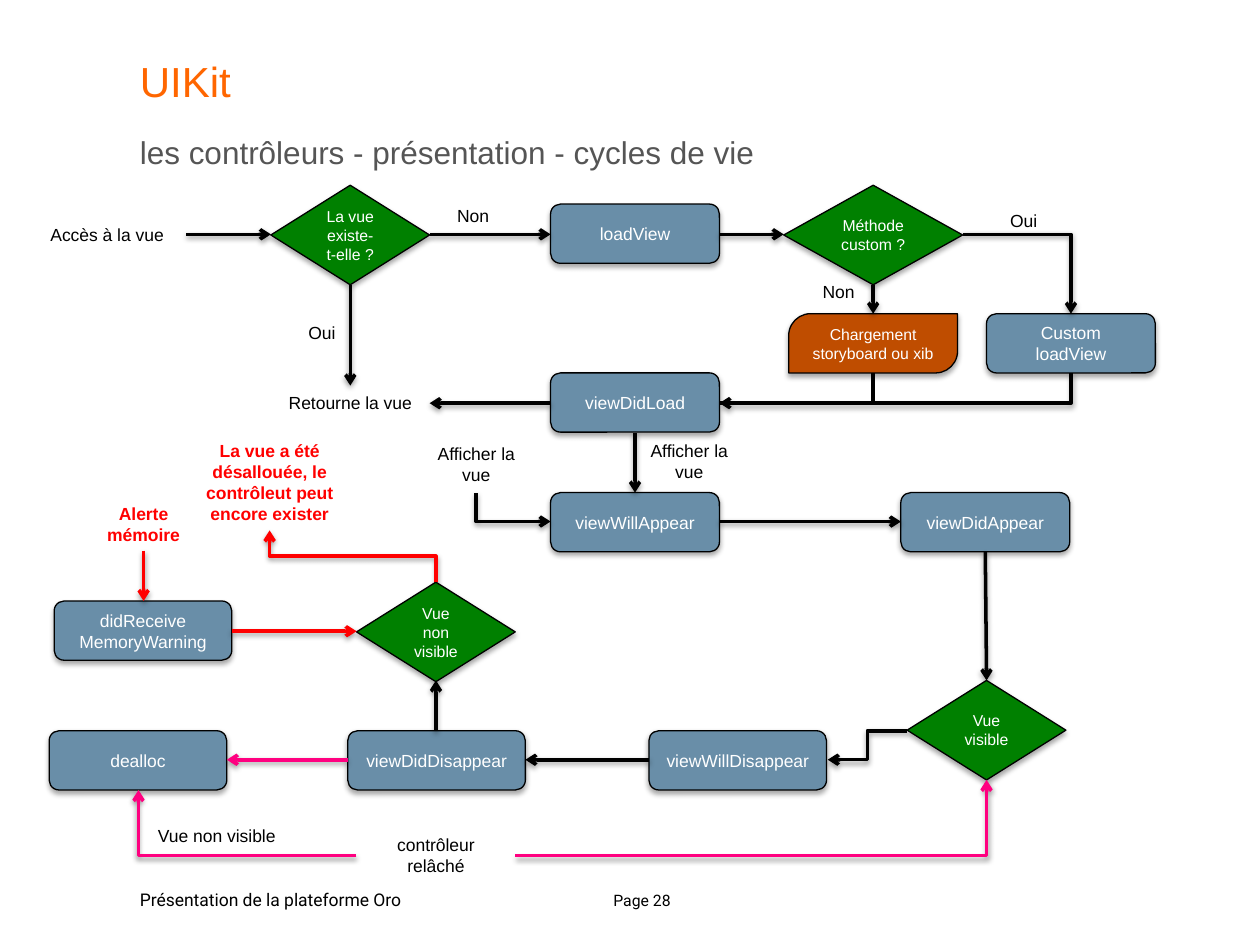
from dataclasses import dataclass

from lxml.etree import SubElement
from pptx import Presentation
from pptx.dml.color import RGBColor
from pptx.enum.shapes import MSO_CONNECTOR as Link, MSO_SHAPE as Shape
from pptx.enum.text import MSO_ANCHOR as Anchor, PP_ALIGN as Align
from pptx.oxml.ns import qn
from pptx.util import Inches, Pt

BLACK = RGBColor(0x00, 0x00, 0x00)
WHITE = RGBColor(0xFF, 0xFF, 0xFF)
GREY = RGBColor(0x55, 0x55, 0x55)
ORANGE = RGBColor(0xFF, 0x66, 0x00)
BLUE = RGBColor(0x69, 0x8E, 0xA8)
GREEN = RGBColor(0x00, 0x80, 0x00)
RUST = RGBColor(0xBF, 0x4D, 0x00)
RED = RGBColor(0xFF, 0x00, 0x00)
PINK = RGBColor(0xFF, 0x00, 0x80)

STEP_WIDTH, WIDE_STEP, STEP_HEIGHT = 1.34, 1.41, 0.47
TEST_WIDTH, TEST_HEIGHT = 1.26, 0.79


@dataclass
class Box:
    """Origin of a region of the page, in inches."""

    left: float
    top: float

    def at(self, x, y):
        """Return the page position of a point of the region."""
        return Inches(self.left + x), Inches(self.top + y)


def write(frame, text, size, color, font="Arial", align=Align.CENTER, bold=False):
    """Fill a text frame, one paragraph a line, in a single style."""
    frame.text = text
    for para in frame.paragraphs:
        para.alignment = align
        para.font.name = font
        para.font.size = Pt(size)
        para.font.bold = bold
        para.font.color.rgb = color


def clear_margins(frame):
    """Remove the inner margins of a text frame."""
    frame.margin_left = frame.margin_right = 0
    frame.margin_top = frame.margin_bottom = 0


def add_shadow(effects, opacity, distance):
    """Add a soft shadow below to an effect list."""
    shadow = SubElement(effects, qn("a:outerShdw"), blurRad=str(Pt(3.1)),
                        dist=str(Pt(distance)), dir="5400000", rotWithShape="0")
    color = SubElement(shadow, qn("a:srgbClr"), val=str(BLACK))
    SubElement(color, qn("a:alpha"), val=str(opacity * 1000))


def add_node(page, box, text, x, y, width=STEP_WIDTH, height=STEP_HEIGHT,
             kind=Shape.ROUNDED_RECTANGLE, fill=BLUE, size=10):
    """Add a filled node of the flow chart."""
    node = page.shapes.add_shape(kind, *box.at(x, y), Inches(width), Inches(height))
    node.fill.solid()
    node.fill.fore_color.rgb = fill
    node.line.color.rgb = BLACK
    node.line.width = Pt(0.75)
    node.shadow.inherit = False
    add_shadow(node._element.spPr.find(qn("a:effectLst")), 35, 1.8)
    node.text_frame.word_wrap = True
    node.text_frame.vertical_anchor = Anchor.MIDDLE
    write(node.text_frame, text, size, WHITE)
    return node


def add_test(page, box, text, x, y, width=TEST_WIDTH):
    """Add a decision diamond."""
    add_node(page, box, text, x, y, width, TEST_HEIGHT, Shape.DIAMOND, GREEN, 9)


def add_label(page, box, text, x, y, width=1.26, height=0.27, size=10,
              color=BLACK, **style):
    """Add a wrapped text box and return its frame."""
    label = page.shapes.add_textbox(*box.at(x, y), Inches(width), Inches(height))
    label.text_frame.word_wrap = True
    write(label.text_frame, text, size, color, **style)
    return label.text_frame


def add_link(page, box, start, end, color=BLACK, kind=Link.STRAIGHT, arrow="tailEnd"):
    """Add a line with its arrow and shadow, or a plain one without arrow."""
    link = page.shapes.add_connector(kind, *box.at(*start), *box.at(*end))
    link.line.color.rgb = color
    link.line.width = Pt(2)
    properties = link._element.spPr
    if arrow:
        SubElement(properties.find(qn("a:ln")), qn(f"a:{arrow}"), type="arrow")
    effects = SubElement(properties, qn("a:effectLst"))
    if arrow:
        add_shadow(effects, 38, 1.6)
    return link


def add_corner(page, box, start, end, color=BLACK, arrow="tailEnd"):
    """Add a link with one bend, leaving its start sideways."""
    link = add_link(page, box, start, end, color, Link.ELBOW, arrow)
    link._element.spPr.find(qn("a:prstGeom")).set("prst", "bentConnector2")


def add_upright_step(page, box, start, end, color):
    """Add a link with two bends, leaving its start upright."""
    middle_x, middle_y = (start[0] + end[0]) / 2, (start[1] + end[1]) / 2
    across, down = start[0] - middle_x, start[1] - middle_y
    link = add_link(page, box, (middle_x - down, middle_y + across),
                    (middle_x + down, middle_y - across), color, Link.ELBOW)
    link._element.spPr.find(qn("a:xfrm")).set("rot", str(270 * 60000))


def add_header(page, box):
    """Place the title and the subtitle."""
    title = page.shapes.title
    title.left, title.top = box.at(0, 0)
    title.width, title.height = Inches(8.54), Inches(0.54)
    clear_margins(title.text_frame)
    title.text_frame.vertical_anchor = Anchor.TOP
    write(title.text_frame, "UIKit", 24, ORANGE, align=Align.LEFT)
    clear_margins(add_label(page, box, "les contrôleurs - présentation - cycles de vie",
                            0, 0.62, 8.54, 0.33, 18, GREY, align=Align.LEFT))


def add_loading(page, box):
    """Draw the loading of the view."""
    middle, join = 0.39, 1.73
    add_test(page, box, "La vue existe-t-elle ?", 2.15, 0)
    add_test(page, box, "Méthode custom ?", 6.22, 0, 1.42)
    add_node(page, box, "loadView", 4.37, 0.15)
    add_node(page, box, "viewDidLoad", 4.37, 1.49)
    add_node(page, box, "Custom\nloadView", 7.83, 1.02)
    loader = add_node(page, box, "Chargement storyboard ou xib", 6.26, 1.02,
                      kind=Shape.ROUND_2_DIAG_RECTANGLE, fill=RUST, size=9)
    loader.adjustments[0] = 0.37
    for start, end in ((1.48, 2.15), (3.41, 4.37), (5.71, 6.22)):
        add_link(page, box, (start, middle), (end, middle))
    add_link(page, box, (6.93, TEST_HEIGHT), (6.93, 1.02))
    add_link(page, box, (2.78, TEST_HEIGHT), (2.78, 1.59))
    add_link(page, box, (4.37, join), (3.41, join))
    add_corner(page, box, (7.64, middle), (8.5, 1.02))
    add_corner(page, box, (5.71, join), (6.93, 1.49), arrow=None)
    add_corner(page, box, (5.71, join), (8.5, 1.49), arrow="headEnd")
    add_label(page, box, "Accès à la vue", 0.22, 0.26)
    add_label(page, box, "Retourne la vue", 2.15, 1.59)
    for text, x, y in (("Non", 3.44, 0.11), ("Non", 6.34, 0.71),
                       ("Oui", 7.81, 0.15), ("Oui", 2.24, 1.04)):
        add_label(page, box, text, x, y, 0.63)


def add_appearing(page, box):
    """Draw the appearing of the view."""
    top, middle = 0.47, 0.7
    add_node(page, box, "viewWillAppear", 4.37, top)
    add_node(page, box, "viewDidAppear", 7.15, top)
    add_link(page, box, (5.04, 0), (5.04, top))
    add_link(page, box, (5.71, middle), (7.15, middle))
    add_link(page, box, (7.82, 0.94), (7.83, 1.96))
    add_corner(page, box, (4.37, middle), (3.78, top), arrow="headEnd")
    for x, y in ((4.95, 0), (3.26, 0.03)):
        add_label(page, box, "Afficher la vue", x, y, 1.04, 0.44)


def add_memory_warning(page, box):
    """Draw the memory warning branch."""
    add_test(page, box, "Vue non visible", 2.83, 1.18)
    add_node(page, box, "didReceive MemoryWarning", 0.43, 1.33, WIDE_STEP)
    add_link(page, box, (1.84, 1.57), (2.83, 1.57), RED)
    add_link(page, box, (1.14, 0.93), (1.14, 1.33), RED)
    add_upright_step(page, box, (3.46, 1.18), (2.14, 0.77), RED)
    add_label(page, box, "Alerte\nmémoire", 0.51, 0.5, height=0.44, color=RED, bold=True)
    add_label(page, box, "La vue a été désallouée, le contrôleut peut encore exister",
              1.51, 0, height=0.77, color=RED, bold=True)


def add_disappearing(page, box):
    """Draw the disappearing of the view and its release."""
    top, middle, bottom = 0.4, 0.63, 1.39
    add_test(page, box, "Vue visible", 7.2, 0)
    for text, x in (("viewWillDisappear", 5.15), ("viewDidDisappear", 2.76),
                    ("dealloc", 0.39)):
        add_node(page, box, text, x, top, WIDE_STEP)
    add_link(page, box, (7.2, top), (6.57, middle), kind=Link.ELBOW)
    add_link(page, box, (5.15, middle), (4.17, middle))
    add_link(page, box, (3.46, top), (3.46, 0))
    add_link(page, box, (2.76, middle), (1.8, middle), PINK)
    add_corner(page, box, (4.09, bottom), (7.83, TEST_HEIGHT), PINK)
    add_corner(page, box, (2.83, bottom), (1.1, 0.87), PINK)
    add_label(page, box, "contrôleur relâché", 2.83, 1.17, height=0.44)
    add_label(page, box, "Vue non visible", 1.09, 1.1)


def add_footer(page, box):
    """Place the footer and the page number."""
    footer = add_label(page, box, "Présentation de la plateforme Oro", 0, 0, 2.72, 0.24,
                       font="Roboto", align=Align.LEFT)
    footer.margin_left = footer.margin_right = 0
    add_label(page, box, "Page 28", 3.58, 0.01, 0.81, 0.24, 9, font="Roboto")


def main():
    """Build the deck."""
    deck = Presentation()
    deck.slide_width, deck.slide_height = Inches(10), Inches(7.5)
    page = deck.slides.add_slide(deck.slide_layouts[5])
    add_header(page, Box(1.11, 0.44))
    add_loading(page, Box(0, 1.47))
    add_appearing(page, Box(0, 3.44))
    add_memory_warning(page, Box(0, 3.44))
    add_disappearing(page, Box(0, 5.4))
    add_footer(page, Box(1.11, 7.01))
    deck.save("out.pptx")


if __name__ == "__main__":
    main()
